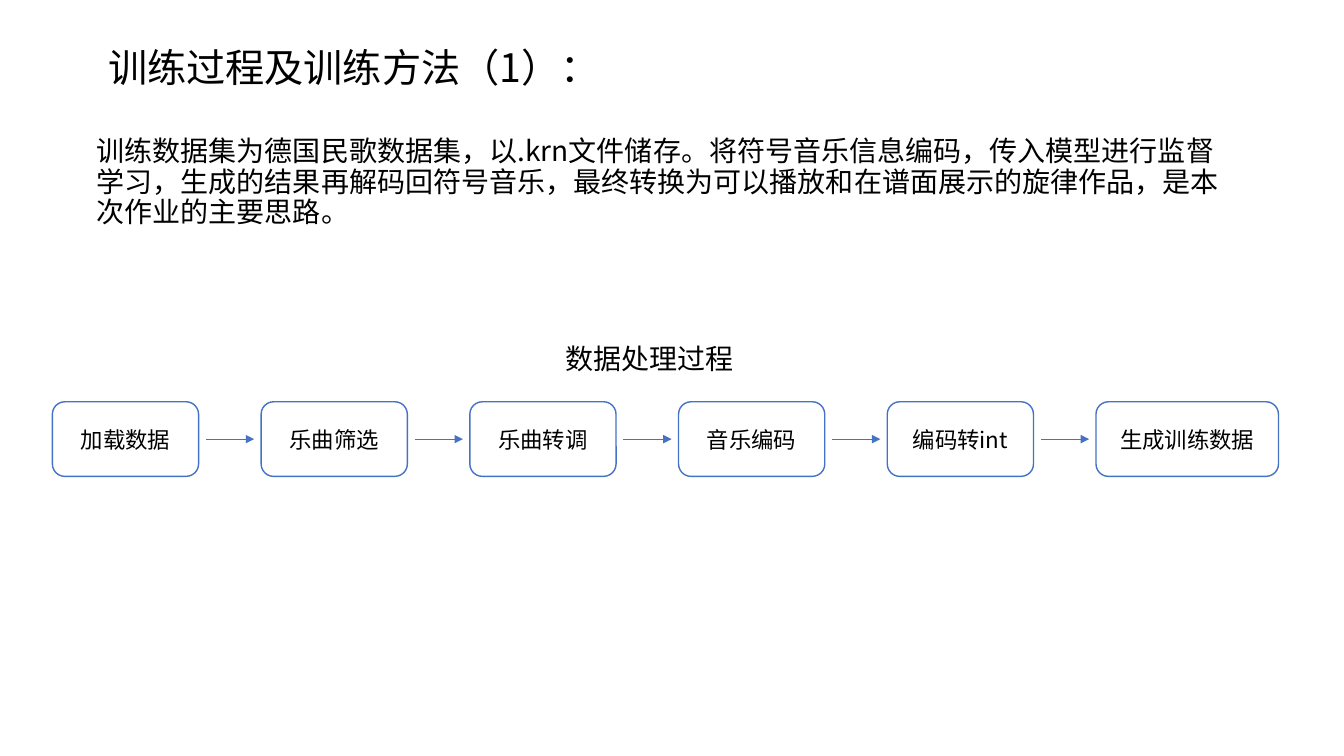
from dataclasses import dataclass

from pptx import Presentation
from pptx.dml.color import RGBColor
from pptx.enum.shapes import MSO_CONNECTOR as Connector, MSO_SHAPE as Shape
from pptx.enum.text import MSO_ANCHOR as Anchor, PP_ALIGN as Align
from pptx.oxml.ns import qn
from pptx.util import Inches, Pt
from lxml.etree import SubElement

WIDTH, HEIGHT = Inches(13.33), Inches(7.5)


@dataclass(frozen=True)
class Theme:
    font: str = "Noto Sans CJK SC"
    ink: str = "000000"
    paper: str = "FFFFFF"
    accent: str = "4472C4"
    title_size: int = 28
    body_size: int = 20
    step_size: int = 16
    text_spacing: float = 0.9


THEME = Theme()

TITLE = "训练过程及训练方法（1）："
BODY = ("训练数据集为德国民歌数据集，以.krn文件储存。将符号音乐信息编码，传入模型进行监督学习，"
        "生成的结果再解码回符号音乐，最终转换为可以播放和在谱面展示的旋律作品，是本次作业的主要思路。")
FLOW_TITLE = "数据处理过程"
STEPS = ["加载数据", "乐曲筛选", "乐曲转调", "音乐编码", "编码转int", "生成训练数据"]

# Flow grid, in percent of the slide's width or height
FLOW_LEFT, FLOW_TOP, STEP_PITCH = 3.9, 53.15, 15.53
STEP_WIDTH, LAST_WIDTH, STEP_HEIGHT = 10.88, 13.58, 9.87
ARROW_GAP, ARROW_LENGTH = 0.55, 3.58


def across(percent):
    return round(WIDTH * percent / 100)


def down(percent):
    return round(HEIGHT * percent / 100)


def area(left, top, width, height):
    return across(left), down(top), across(width), down(height)


def write(shape, text, size, align=Align.LEFT, anchor=Anchor.MIDDLE, spacing=1.0):
    frame = shape.text_frame
    frame.word_wrap = True
    frame.vertical_anchor = anchor
    para = frame.paragraphs[0]
    para.alignment = align
    para.line_spacing = spacing
    span = para.add_run()
    span.text = text
    span.font.size = Pt(size)
    span.font.name = THEME.font
    span.font.color.rgb = RGBColor.from_string(THEME.ink)
    # East Asian glyphs use the same typeface
    SubElement(span.font._element, qn("a:ea"), typeface=THEME.font)


def add_text(page, place, text, size, **style):
    box = page.shapes.add_textbox(*area(*place))
    write(box, text, size, spacing=THEME.text_spacing, **style)


def add_step(page, place, text):
    box = page.shapes.add_shape(Shape.ROUNDED_RECTANGLE, *area(*place))
    box.shadow.inherit = False
    box.fill.solid()
    box.fill.fore_color.rgb = RGBColor.from_string(THEME.paper)
    box.line.color.rgb = RGBColor.from_string(THEME.accent)
    box.line.width = Pt(1)
    write(box, text, THEME.step_size, align=Align.CENTER)


def add_arrow(page, left, middle):
    arrow = page.shapes.add_connector(
        Connector.STRAIGHT, across(left), down(middle),
        across(left + ARROW_LENGTH), down(middle))
    arrow.line.color.rgb = RGBColor.from_string(THEME.accent)
    arrow.line.width = Pt(0.5)
    SubElement(arrow.line._get_or_add_ln(), qn("a:tailEnd"), type="triangle")
    SubElement(arrow._element.spPr, qn("a:effectLst"))


def add_flow(page, steps):
    last = len(steps) - 1
    for index, step in enumerate(steps):
        left = FLOW_LEFT + index * STEP_PITCH
        width = LAST_WIDTH if index == last else STEP_WIDTH
        add_step(page, (left, FLOW_TOP, width, STEP_HEIGHT), step)
        if index < last:
            add_arrow(page, left + width + ARROW_GAP, FLOW_TOP + STEP_HEIGHT / 2)


def main():
    deck = Presentation()
    deck.slide_width, deck.slide_height = WIDTH, HEIGHT
    page = deck.slides.add_slide(deck.slide_layouts[6])

    # Heading and introduction
    add_text(page, (7.3, 0.1, 37.95, 18.27), TITLE, THEME.title_size)
    add_text(page, (6.45, 17.55, 86.25, 16), BODY, THEME.body_size, anchor=Anchor.TOP)

    # Data processing flow
    add_text(page, (41.33, 38, 17.25, 19.33), FLOW_TITLE, THEME.body_size)
    add_flow(page, STEPS)

    deck.save("out.pptx")


if __name__ == "__main__":
    main()
